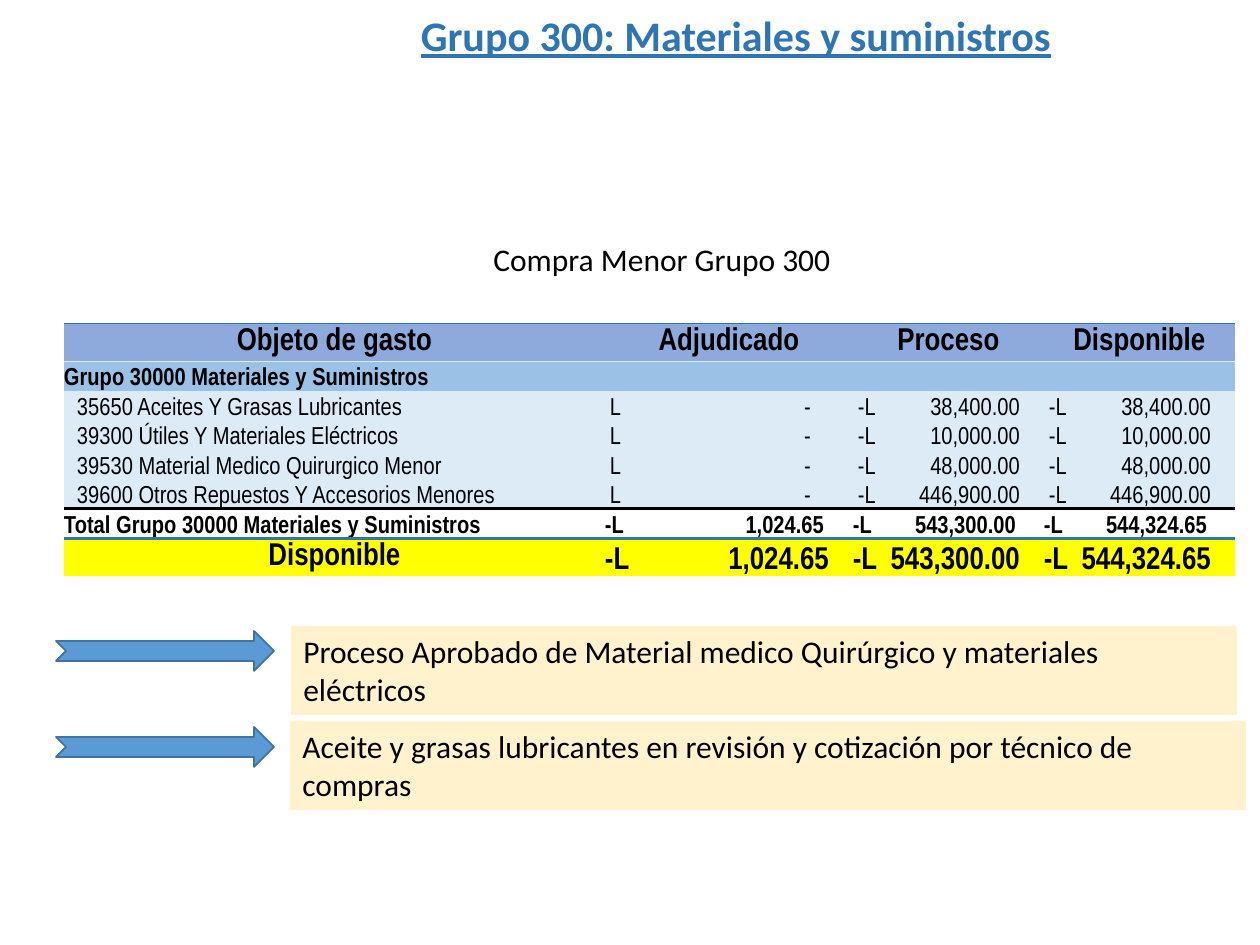
from dataclasses import dataclass
from typing import Any, Optional

from lxml.etree import SubElement
from pptx import Presentation
from pptx.dml.color import RGBColor
from pptx.enum.shapes import MSO_SHAPE
from pptx.enum.text import MSO_ANCHOR, MSO_AUTO_SIZE, PP_ALIGN
from pptx.oxml.ns import qn
from pptx.util import Emu, Pt

PX = 914400 // 126
BLACK = RGBColor(0x00, 0x00, 0x00)
WHITE = RGBColor(0xFF, 0xFF, 0xFF)
YELLOW = RGBColor(0xFF, 0xFF, 0x00)
TITLE_BLUE = RGBColor(0x2E, 0x75, 0xB6)
RULE_BLUE = RGBColor(0x2F, 0x75, 0xB5)
HEADER_BLUE = RGBColor(0x8E, 0xA9, 0xDB)
GROUP_BLUE = RGBColor(0x9B, 0xC2, 0xE6)
PALE_BLUE = RGBColor(0xDD, 0xEB, 0xF7)
ARROW_BLUE = RGBColor(0x5B, 0x9B, 0xD5)
ARROW_EDGE = RGBColor(0x43, 0x73, 0x9E)
CREAM = RGBColor(0xFF, 0xF2, 0xCC)

BODY_FONT = {"name": "Calibri", "size": Pt(18), "bold": False}
TITLE_FONT = {"name": "Calibri", "size": Pt(24), "bold": True, "underline": True}
COLUMN_WIDTHS = (541, 248, 191, 191)


@dataclass(frozen=True)
class Rule:
    color: RGBColor
    points: float


@dataclass(frozen=True)
class BudgetRow:
    texts: tuple[str, ...]
    fill: RGBColor
    height: int = 29
    size: int = 14
    bold: bool = False
    label_indent: int = 0
    amount_indent: int = 0
    tabs: tuple[int, ...] = (206, 167, 167)
    centered: tuple[int, ...] = ()
    top: Optional[Rule] = None
    bottom: Optional[Rule] = None


@dataclass(frozen=True)
class Note:
    text: str
    arrow_top: int
    left: int
    top: int
    width: int


THIN = Rule(PALE_BLUE, 0.5)
TOTAL_RULE = Rule(BLACK, 2)
AVAILABLE_RULE = Rule(RULE_BLUE, 2)


def expense(label: str, amount: str, bottom: Optional[Rule] = None) -> BudgetRow:
    return BudgetRow((label, "L\t-", f"-L\t{amount}", f"-L\t{amount}"), PALE_BLUE,
                     label_indent=13, amount_indent=5, bottom=bottom)


BUDGET = (
    BudgetRow(("Objeto de gasto", "Adjudicado", "Proceso", "Disponible"), HEADER_BLUE,
              height=38, size=18, bold=True, centered=(0, 1, 2, 3),
              top=Rule(RULE_BLUE, 0.5), bottom=THIN),
    BudgetRow(("Grupo 30000 Materiales y Suministros", "", "", ""), GROUP_BLUE,
              height=30, bold=True, top=THIN),
    expense("35650 Aceites Y Grasas Lubricantes", "38,400.00"),
    expense("39300 Útiles Y Materiales Eléctricos", "10,000.00"),
    expense("39530 Material Medico Quirurgico Menor", "48,000.00"),
    expense("39600 Otros Repuestos Y Accesorios Menores", "446,900.00", TOTAL_RULE),
    BudgetRow(("Total Grupo 30000 Materiales y Suministros", "-L\t1,024.65",
               "-L\t543,300.00", "-L\t544,324.65"), WHITE, bold=True,
              tabs=(219, 163, 163), top=TOTAL_RULE, bottom=AVAILABLE_RULE),
    BudgetRow(("Disponible", "-L\t1,024.65", "-L\t543,300.00", "-L\t544,324.65"), YELLOW,
              height=38, size=18, bold=True, tabs=(224, 167, 167), centered=(0,),
              top=AVAILABLE_RULE),
)

NOTES = (
    Note("Proceso Aprobado de Material medico Quirúrgico y materiales eléctricos",
         631, 291, 626, 946),
    Note("Aceite y grasas lubricantes en revisión y cotización por técnico de compras",
         727, 290, 721, 956),
)


def px(*lengths: int) -> list[Emu]:
    return [Emu(length * PX) for length in lengths]


def apply(target: Any, values: dict[str, Any]) -> None:
    for attribute, value in values.items():
        setattr(target, attribute, value)


def write(paragraph: Any, text: str, font: dict[str, Any], color: RGBColor = BLACK) -> None:
    run = paragraph.add_run()
    run.text = text
    apply(run.font, font)
    run.font.color.rgb = color


def draw_rule(cell: Any, tag: str, rule: Optional[Rule]) -> None:
    properties = cell._tc.get_or_add_tcPr()
    if rule is None:
        SubElement(SubElement(properties, qn(tag), w="0"), qn("a:noFill"))
        return
    line = SubElement(properties, qn(tag), w=str(Pt(rule.points)))
    SubElement(SubElement(line, qn("a:solidFill")), qn("a:srgbClr"), val=str(rule.color))


def draw_cell(cell: Any, row: BudgetRow, column: int) -> None:
    centered = column in row.centered
    indent = row.amount_indent if column else row.label_indent
    apply(cell, {
        "margin_left": Emu(indent * PX), "margin_right": 0,
        "margin_top": 0, "margin_bottom": 0,
        "vertical_anchor": MSO_ANCHOR.MIDDLE if centered else MSO_ANCHOR.BOTTOM,
    })
    edges = {"a:lnL": None, "a:lnR": None, "a:lnT": row.top, "a:lnB": row.bottom}
    for tag, rule in edges.items():
        draw_rule(cell, tag, rule)
    cell.fill.solid()
    cell.fill.fore_color.rgb = row.fill

    paragraph = cell.text_frame.paragraphs[0]
    paragraph.alignment = PP_ALIGN.CENTER if centered else PP_ALIGN.LEFT
    text = row.texts[column]
    if not text:
        SubElement(paragraph._p, qn("a:endParaRPr"), sz=str(row.size * 100))
        return
    if "\t" in text:
        stops = SubElement(paragraph._p.get_or_add_pPr(), qn("a:tabLst"))
        position = (row.tabs[column - 1] - indent) * PX
        SubElement(stops, qn("a:tab"), pos=str(position), algn="r")
    write(paragraph, text, {"name": "Arial Narrow", "size": Pt(row.size), "bold": row.bold})


def draw_budget(slide: Any) -> None:
    height = sum(row.height for row in BUDGET)
    frame = slide.shapes.add_table(len(BUDGET), len(COLUMN_WIDTHS),
                                   *px(64, 323, sum(COLUMN_WIDTHS), height))
    budget = frame.table
    apply(budget, {"first_row": False, "horz_banding": False})
    for column, width in zip(budget.columns, COLUMN_WIDTHS):
        column.width = Emu(width * PX)
    for index, row in enumerate(BUDGET):
        budget.rows[index].height = Emu(row.height * PX)
        for column in range(len(COLUMN_WIDTHS)):
            draw_cell(budget.cell(index, column), row, column)


def draw_note(slide: Any, note: Note) -> None:
    arrow = slide.shapes.add_shape(MSO_SHAPE.NOTCHED_RIGHT_ARROW,
                                   *px(56, note.arrow_top, 218, 40))
    panel = slide.shapes.add_shape(MSO_SHAPE.RECTANGLE,
                                   *px(note.left, note.top, note.width, 89))
    for shape, fill in ((arrow, ARROW_BLUE), (panel, CREAM)):
        shape.shadow.inherit = False
        shape.fill.solid()
        shape.fill.fore_color.rgb = fill
    arrow.line.color.rgb = ARROW_EDGE
    arrow.line.width = Pt(1)
    panel.line.fill.background()
    apply(panel.text_frame, {"word_wrap": True, "vertical_anchor": MSO_ANCHOR.TOP})
    paragraph = panel.text_frame.paragraphs[0]
    paragraph.alignment = PP_ALIGN.LEFT
    write(paragraph, note.text, BODY_FONT)


def draw_headings(slide: Any) -> None:
    title = slide.shapes.title
    apply(title, dict(zip(("left", "top", "width", "height"), px(169, -41, 1134, 158))))
    apply(title.text_frame, {"vertical_anchor": MSO_ANCHOR.MIDDLE, "word_wrap": True,
                             "auto_size": MSO_AUTO_SIZE.NONE})
    heading = title.text_frame.paragraphs[0]
    apply(heading, {"alignment": PP_ALIGN.CENTER, "line_spacing": 0.9})
    write(heading, "Grupo 300: Materiales y suministros", TITLE_FONT, TITLE_BLUE)

    caption = slide.shapes.add_textbox(*px(481, 234, 665, 50))
    caption.text_frame.word_wrap = True
    write(caption.text_frame.paragraphs[0], "Compra Menor Grupo 300", BODY_FONT)


def main() -> None:
    presentation = Presentation()
    apply(presentation, dict(zip(("slide_width", "slide_height"), px(1260, 945))))
    slide = presentation.slides.add_slide(presentation.slide_layouts[5])
    draw_headings(slide)
    draw_budget(slide)
    for note in NOTES:
        draw_note(slide, note)
    presentation.save("out.pptx")


if __name__ == "__main__":
    main()
